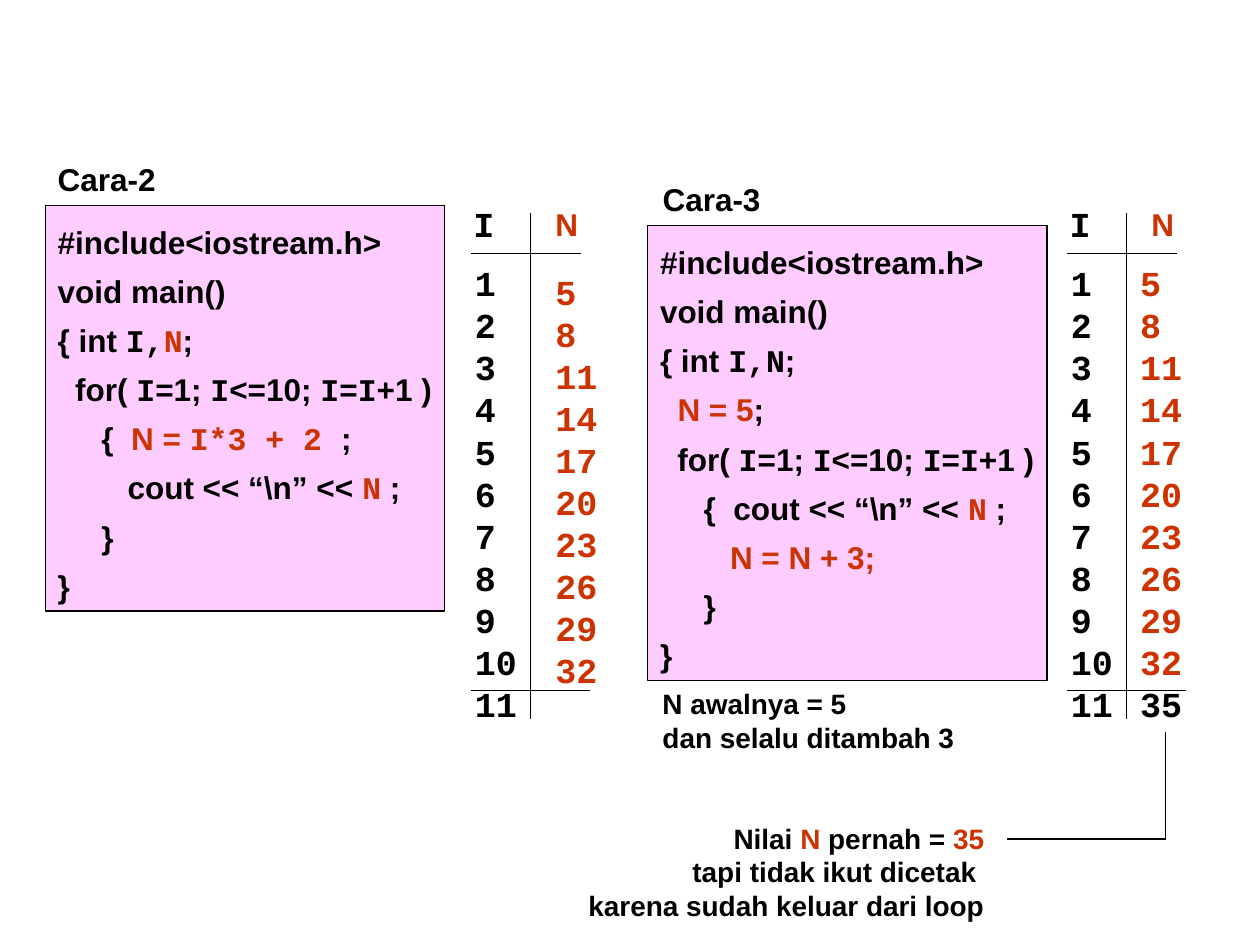
import pptx
import pptx.dml.color
import pptx.enum.shapes
import pptx.enum.text
import pptx.oxml.ns
import pptx.util
from pptx.util import Inches

THEME = {
    "black": pptx.dml.color.RGBColor.from_string("000000"),
    "red": pptx.dml.color.RGBColor.from_string("CC3300"),
    "pink": pptx.dml.color.RGBColor.from_string("FFCCFF"),
    "code": pptx.util.Pt(18),
    "number": pptx.util.Pt(20),
    "note": pptx.util.Pt(16),
    "line": pptx.util.Pt(0.75),
}
STYLES = {
    "plain": {"name": "Arial", "color": THEME["black"]},
    "red": {"name": "Arial", "color": THEME["red"]},
    "mono": {"name": "Courier New", "color": THEME["black"]},
    "mono red": {"name": "Courier New", "color": THEME["red"]},
}
ALIGN = pptx.enum.text.PP_ALIGN

presentation = pptx.Presentation()
presentation.slide_width, presentation.slide_height = Inches(10), Inches(7.5)
slide = presentation.slides.add_slide(presentation.slide_layouts[6])


def write_text(shape, lines, size, wrap=False, paragraph_format=None):
    """Fill a shape; each line is a list of (text, style name) runs."""
    frame = shape.text_frame
    frame_format = {
        "word_wrap": wrap,
        "auto_size": pptx.enum.text.MSO_AUTO_SIZE.SHAPE_TO_FIT_TEXT,
        "vertical_anchor": pptx.enum.text.MSO_ANCHOR.TOP,
    }
    for name, value in frame_format.items():
        setattr(frame, name, value)
    for index, line in enumerate(lines):
        paragraph = frame.add_paragraph() if index else frame.paragraphs[0]
        for name, value in {"alignment": ALIGN.LEFT, **(paragraph_format or {})}.items():
            setattr(paragraph, name, value)
        for text, style in line:
            run = paragraph.add_run()
            run.text = text
            for name, value in {"name": STYLES[style]["name"], "size": size, "bold": True}.items():
                setattr(run.font, name, value)
            run.font.color.rgb = STYLES[style]["color"]


def add_line(x1, y1, x2, y2):
    line = slide.shapes.add_connector(
        pptx.enum.shapes.MSO_CONNECTOR.STRAIGHT, Inches(x1), Inches(y1), Inches(x2), Inches(y2))
    line.line.color.rgb = THEME["black"]
    line.line.width = THEME["line"]
    properties = line._element.spPr
    properties.append(properties.makeelement(pptx.oxml.ns.qn("a:effectLst"), {}))


# Program listings
opening = [[("#include<iostream.h>", "plain")], [("void main()", "plain")]]
for_loop = [("  for( ", "plain"), ("I", "mono"), ("=1; ", "plain"), ("I", "mono"),
            ("<=10; ", "plain"), ("I", "mono"), ("=", "plain"), ("I", "mono"), ("+1 )", "plain")]
closing = [[("     }", "plain")], [("}", "plain")]]
print_end = [("N", "mono red"), (" ;", "plain")]
code_2 = opening + [
    [("{ int ", "plain"), ("I,", "mono"), ("N", "mono red"), (";", "plain")],
    for_loop,
    [("     {  ", "plain"), ("N = ", "red"), ("I*3 + 2 ", "mono red"), (";", "plain")],
    [("        cout << “\\n” << ", "plain")] + print_end,
] + closing
code_3 = opening + [
    [("{ int ", "plain"), ("I,N", "mono"), (";", "plain")],
    [("  ", "plain"), ("N = 5", "red"), (";", "plain")],
    for_loop,
    [("     {  cout << “\\n” << ", "plain")] + print_end,
    [("        ", "plain"), ("N = N + 3;", "red")],
] + closing

for title, title_left, left, top, height, code in [
    ("Cara-2", 0.36, 0.36, 1.63, 3.22, code_2),
    ("Cara-3", 5.16, 5.14, 1.79, 3.61, code_3),
]:
    panel = slide.shapes.add_shape(
        pptx.enum.shapes.MSO_SHAPE.RECTANGLE, Inches(left), Inches(top), Inches(3.17), Inches(height))
    panel.shadow.inherit = False
    panel.fill.solid()
    panel.fill.fore_color.rgb = THEME["pink"]
    panel.line.color.rgb = THEME["black"]
    panel.line.width = THEME["line"]
    write_text(panel, code, THEME["code"], paragraph_format={"line_spacing": 1.3})
    heading = slide.shapes.add_textbox(
        Inches(title_left), Inches(top - 0.41), Inches(0.98), Inches(0.4))
    write_text(heading, [[(title, "plain")]], THEME["code"])

# Trace tables of I and N, ruled by three lines each
counters = [[(str(i), "mono")] for i in range(1, 12)]
values = [[(str(3 * i + 2), "mono red")] for i in range(1, 11)]
for left, values_left, values_top, column in [
    (3.74, 4.31, 2.1, values),
    (8.47, 8.95, 2.03, values + [[("35", "mono")]]),
]:
    add_line(left, 2.01, left + 0.87, 2.01)
    add_line(left + 0.47, 1.69, left + 0.47, 5.71)
    add_line(left, 5.48, left + 0.94, 5.48)
    for x, y, width, height, lines, size, wrap in [
        (left - 0.08, 1.56, 0.36, 0.44, [[("I", "mono")]], "number", False),
        (left + 0.57, 1.58, 0.38, 0.4, [[("N", "red")]], "code", True),
        (left - 0.07, 2.03, 0.56, 3.77, counters, "number", False),
        (values_left, values_top, 0.56, 0.1 + 0.33 * len(column), column, "number", False),
    ]:
        box = slide.shapes.add_textbox(Inches(x), Inches(y), Inches(width), Inches(height))
        write_text(box, lines, THEME[size], wrap)

# Notes, with an elbow from the last value of N
start_note = slide.shapes.add_textbox(Inches(5.16), Inches(5.4), Inches(2.56), Inches(0.64))
write_text(start_note, [[("N awalnya = 5", "plain")], [("dan selalu ditambah 3", "plain")]],
           THEME["note"])
add_line(9.25, 5.81, 9.25, 6.66)
add_line(9.25, 6.66, 7.99, 6.66)
end_note = slide.shapes.add_textbox(Inches(4.57), Inches(6.47), Inches(3.34), Inches(0.9))
write_text(end_note, [
    [("Nilai ", "plain"), ("N", "red"), (" pernah = ", "plain"), ("35", "red")],
    [("tapi tidak ikut dicetak ", "plain")],
    [("karena sudah keluar dari loop", "plain")],
], THEME["note"], paragraph_format={"alignment": ALIGN.RIGHT})

presentation.save("out.pptx")
